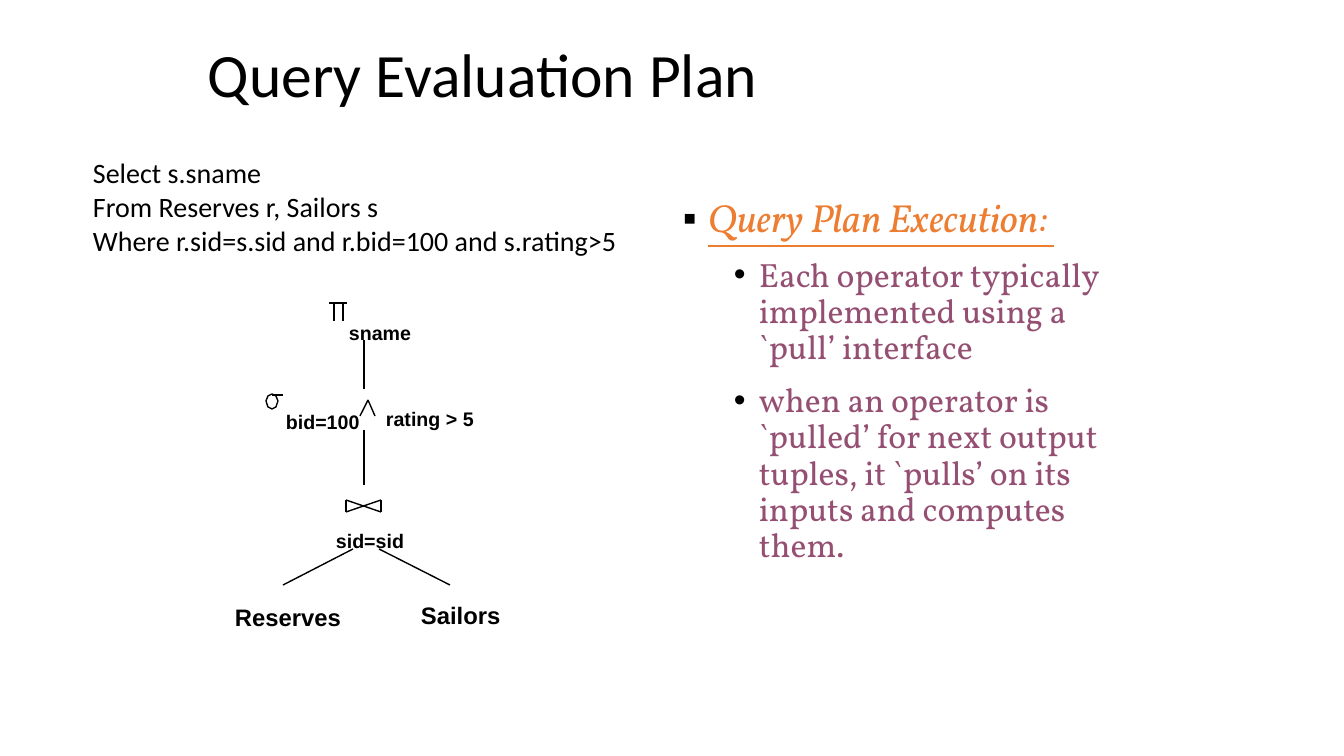
from lxml import etree
from pptx import Presentation
from pptx.dml.color import RGBColor
from pptx.enum.shapes import MSO_CONNECTOR
from pptx.enum.text import MSO_ANCHOR
from pptx.oxml.ns import qn
from pptx.util import Emu, Pt

STRAIGHT = MSO_CONNECTOR.STRAIGHT
TOP, MIDDLE = MSO_ANCHOR.TOP, MSO_ANCHOR.MIDDLE
EMU_PER_PX = 914400 / 100.8
BLACK, ORANGE, PLUM = "000000", "ED7D31", "954F72"
HANG = 25

LEFT_X, RIGHT_X, JOIN_TOP, JOIN_BOTTOM = 346, 381, 500, 512
TREE_LINES = [
    # projection sign
    (334, 304, 334, 321), (343, 304, 343, 321), (329, 303, 347, 303),
    # tail of the selection sign
    (272, 395, 283, 395),
    # logical and
    (360, 416, 368, 400), (368, 400, 375, 416),
    # join bow tie
    (LEFT_X, JOIN_TOP, LEFT_X, JOIN_BOTTOM),
    (RIGHT_X, JOIN_TOP, RIGHT_X, JOIN_BOTTOM),
    (LEFT_X, JOIN_TOP, RIGHT_X, JOIN_BOTTOM),
    (LEFT_X, JOIN_BOTTOM, RIGHT_X, JOIN_TOP),
    # edges between operators
    (364, 340, 364, 389), (364, 430, 364, 485),
    (353, 549, 283, 585), (379, 549, 450, 585),
]
SIGMA_BOWL = [(278, 401), (276, 396), (272, 394), (268, 396),
              (266, 401), (268, 407), (272, 409), (276, 407)]
TREE_LABELS = [
    ("Reserves", (225, 598, 127, 38), 17),
    ("Sailors", (411, 596, 101, 38), 17),
    ("sid=sid", (326, 524, 89, 33), 14),
    ("bid=100 ", (276, 405, 100, 33), 14),
    ("rating > 5", (376, 402, 108, 33), 14),
    ("sname", (339, 316, 83, 33), 14),
]
QUERY = ["Select s.sname", "From Reserves r, Sailors s",
         "Where r.sid=s.sid and r.bid=100 and s.rating>5"]
EXECUTION_POINTS = [
    "Each operator typically implemented using a `pull\u2019 interface",
    "when an operator is `pulled\u2019 for next output tuples, "
    "it `pulls\u2019 on its inputs and computes them.",
]


def px(length):
    """Turn pixels into EMU."""
    return Emu(round(length * EMU_PER_PX))


def color(hex_code):
    """Turn a hex string into a colour."""
    return RGBColor.from_string(hex_code)


def add_text(slide, lines, box, size, font="Calibri", ink=BLACK, bold=False,
             wrap=True, anchor=TOP):
    """Add a text box with one paragraph per line; return its paragraphs."""
    frame = slide.shapes.add_textbox(*map(px, box)).text_frame
    frame.word_wrap = wrap
    frame.vertical_anchor = anchor
    frame.text = "\n".join(lines)
    for paragraph in frame.paragraphs:
        paragraph.font.name = font
        paragraph.font.size = Pt(size)
        paragraph.font.bold = bold
        paragraph.font.color.rgb = color(ink)
    return frame.paragraphs


def add_bullet(paragraph, mark, indent):
    """Give a paragraph a black hanging bullet and list spacing."""
    paragraph.line_spacing = 0.9
    paragraph.space_before = Pt(12)
    props = paragraph._p.get_or_add_pPr()
    props.set("marL", str(px(indent)))
    props.set("indent", str(-px(HANG)))
    bullet_color = etree.Element(qn("a:buClr"))
    etree.SubElement(bullet_color, qn("a:srgbClr"), val=BLACK)
    bullet_font = etree.Element(qn("a:buFont"), typeface="Arial")
    bullet = etree.Element(qn("a:buChar"), char=mark)
    run_defaults = props.find(qn("a:defRPr"))
    for part in (bullet_color, bullet_font, bullet):
        run_defaults.addprevious(part)


def add_line(slide, x1, y1, x2, y2):
    """Draw a thin black line of the operator tree."""
    line = slide.shapes.add_connector(STRAIGHT, *map(px, (x1, y1, x2, y2)))
    line.line.color.rgb = color(BLACK)
    line.line.width = Pt(1)
    etree.SubElement(line._element.spPr, qn("a:effectLst"))


def add_outline(slide, points):
    """Draw a closed, unfilled black outline."""
    builder = slide.shapes.build_freeform(*points[0], scale=EMU_PER_PX)
    builder.add_line_segments(points[1:], close=True)
    outline = builder.convert_to_shape()
    outline.shadow.inherit = False
    outline.fill.background()
    outline.line.color.rgb = color(BLACK)
    outline.line.width = Pt(1)


def add_operator_tree(slide):
    """Draw the query plan as a tree of operators."""
    add_outline(slide, SIGMA_BOWL)
    for ends in TREE_LINES:
        add_line(slide, *ends)
    for label, box, size in TREE_LABELS:
        add_text(slide, [label], box, size, "Arial", bold=True, wrap=False)


def add_execution_list(slide):
    """Add the heading and points on plan execution."""
    heading, *points = add_text(
        slide, ["Query Plan Execution: ", *EXECUTION_POINTS],
        (648, 194, 461, 387), 24, "Vollkorn", PLUM)
    add_bullet(heading, "\u25aa", 50)
    heading.font.size = Pt(28)
    heading.font.color.rgb = color(ORANGE)
    heading.font.italic = True
    heading.font.underline = True
    for point in points:
        add_bullet(point, "\u2022", 101)


def main():
    """Build the slide and save it."""
    deck = Presentation()
    deck.slide_width, deck.slide_height = px(1344), px(756)
    slide = deck.slides.add_slide(deck.slide_layouts[6])
    title, = add_text(slide, [" Query Evaluation Plan"], (184, 17, 966, 122),
                      44, anchor=MIDDLE)
    title.line_spacing = 0.9
    add_operator_tree(slide)
    add_execution_list(slide)
    add_text(slide, QUERY, (83, 151, 555, 112), 20)
    deck.save("out.pptx")


main()
